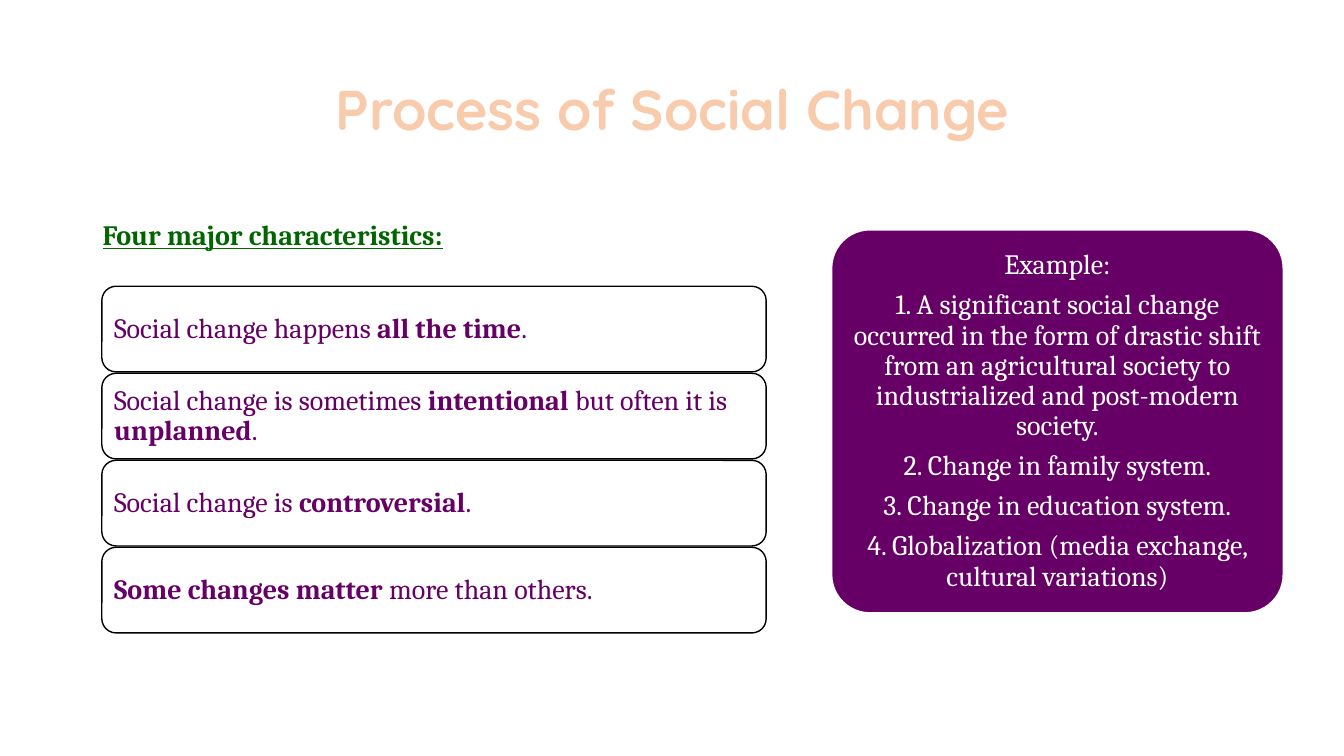
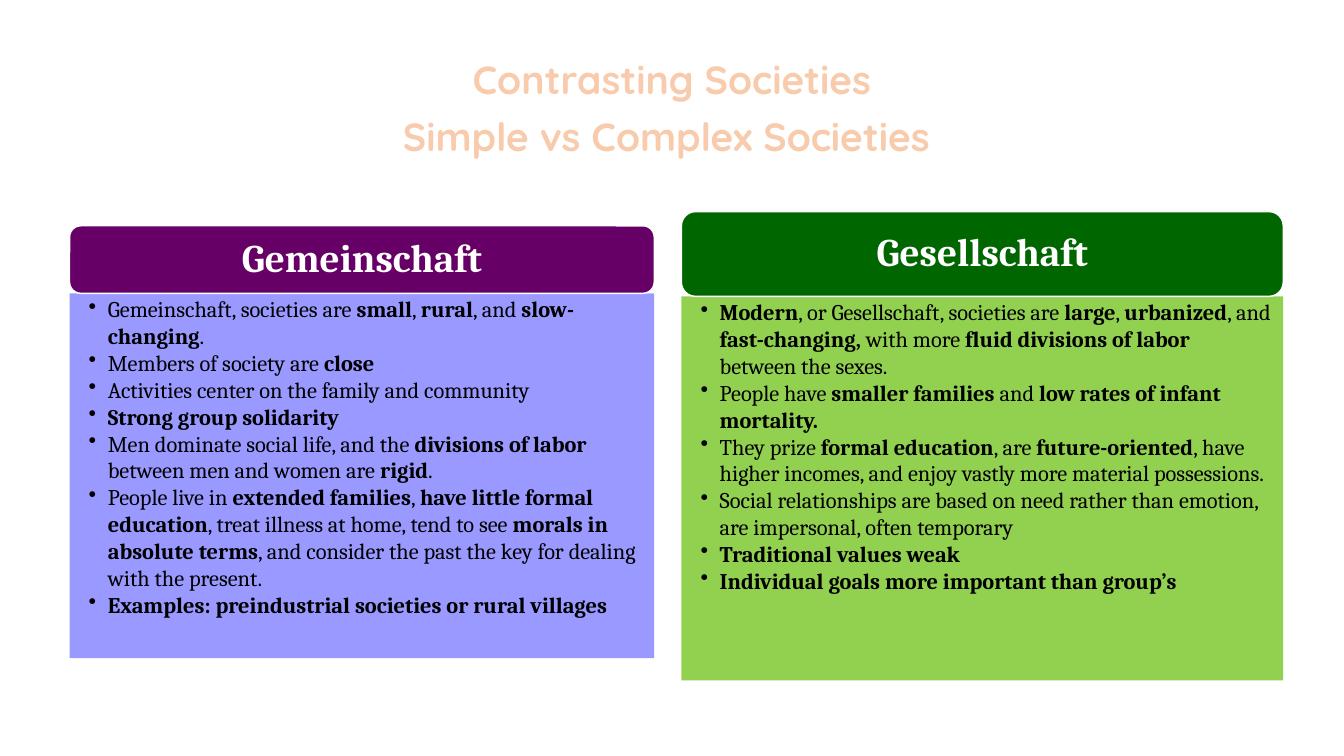
from lxml import etree
from pptx import Presentation
from pptx.dml.color import RGBColor
from pptx.enum.shapes import MSO_SHAPE
from pptx.enum.text import MSO_ANCHOR, PP_ALIGN
from pptx.oxml.ns import qn
from pptx.util import Inches, Pt

ROUNDED, RECTANGLE = MSO_SHAPE.ROUNDED_RECTANGLE, MSO_SHAPE.RECTANGLE
LEFT, CENTER = PP_ALIGN.LEFT, PP_ALIGN.CENTER
TOP, MIDDLE = MSO_ANCHOR.TOP, MSO_ANCHOR.MIDDLE

COLORS = {
    "white": "FFFFFF", "black": "000000", "peach": "F8CBAD", "orange": "ED7D31",
    "purple": "660066", "green": "006600", "lavender": "9999FF", "lime": "92D050",
}
TITLE_STYLE = dict(color="peach", font="Quicksand", bold=True, align=CENTER,
                   spacing=0.9, outline="orange")
CARD_TITLE_STYLE = dict(size=28, color="white", bold=True, align=CENTER,
                        spacing=0.9, insets=(0.12,) * 4)

deck = Presentation()
deck.slide_width, deck.slide_height = Inches(13.333), Inches(7.5)
blank_layout = deck.slide_layouts[6]


def add_box(page, area, preset=None, fill=None, line=None):
    """Add a shape, or a text box without preset; area is in percent of the slide."""
    left, top, width, height = area
    place = [int(deck.slide_width * left / 100), int(deck.slide_height * top / 100),
             int(deck.slide_width * width / 100), int(deck.slide_height * height / 100)]
    if preset is None:
        return page.shapes.add_textbox(*place)
    box = page.shapes.add_shape(preset, *place)
    box.shadow.inherit = False
    box.fill.solid()
    box.fill.fore_color.rgb = RGBColor.from_string(COLORS[fill])
    if line:
        box.line.color.rgb = RGBColor.from_string(COLORS[line])
        box.line.width = Pt(1)
    else:
        box.line.fill.background()
    return box


def write(box, lines, size, color, font="Cambria", bold=False, underline=None, align=LEFT,
          anchor=MIDDLE, spacing=1.0, insets=(0.1, 0.05, 0.1, 0.05), bullets=False,
          outline=None):
    """Fill a box with paragraphs; words between ** marks are bold."""
    frame = box.text_frame
    frame.word_wrap = True
    frame.vertical_anchor = anchor
    (frame.margin_left, frame.margin_top,
     frame.margin_right, frame.margin_bottom) = map(Inches, insets)
    for number, line in enumerate(lines):
        para = frame.add_paragraph() if number else frame.paragraphs[0]
        para.alignment = align
        para.line_spacing = spacing
        para.space_after = Pt(0 if bullets else round(size * 0.35))
        if bullets:
            properties = para._p.get_or_add_pPr()
            properties.set("marL", str(Inches(0.19)))
            properties.set("indent", str(-Inches(0.19)))
            etree.SubElement(properties, qn("a:buChar")).set("char", "•")
        for part, words in enumerate(line.split("**")):
            if not words:
                continue
            span = para.add_run()
            span.text = words
            span.font.name = font
            span.font.size = Pt(size)
            span.font.bold = bold or part % 2 == 1
            span.font.underline = underline
            span.font.color.rgb = RGBColor.from_string(COLORS[color])
            if outline:
                stroke = etree.Element(qn("a:ln"), w=str(Pt(1.75)))
                fill = etree.SubElement(stroke, qn("a:solidFill"))
                etree.SubElement(fill, qn("a:srgbClr")).set("val", COLORS[outline])
                span.font._element.insert(0, stroke)


# Slide 1: process of social change
page = deck.slides.add_slide(blank_layout)
title = add_box(page, (6.9, 5.2, 86.25, 19.33))
write(title, ["Process of Social Change"], size=40, **TITLE_STYLE)

heading = add_box(page, (6.9, 28.13, 39.83, 5.87))
write(heading, ["Four major characteristics:"], size=20, color="green", bold=True,
      underline=True, anchor=TOP)

characteristics = [
    "Social change happens **all the time**.",
    "Social change is sometimes **intentional** but often it is **unplanned**.",
    "Social change is **controversial**.",
    "**Some changes matter **more than others.",
]
FIRST_ROW, ROW_PITCH = 37.87, 11.51
for row, characteristic in enumerate(characteristics):
    box = add_box(page, (7.58, FIRST_ROW + row * ROW_PITCH, 49.43, 11.33),
                  ROUNDED, "white", "black")
    write(box, [characteristic], size=20, color="purple", spacing=0.9, insets=(0.08,) * 4)

example = add_box(page, (61.88, 30.4, 33.6, 50.67), ROUNDED, "purple", "white")
example.adjustments[0] = 0.1
write(example, [
    "Example:",
    "1. A significant social change occurred in the form of drastic shift from an "
    "agricultural society to industrialized and post-modern society.",
    "2. Change in family system.",
    "3. Change in education system.",
    "4. Globalization (media exchange, cultural variations)",
], size=20, color="white", align=CENTER, spacing=0.9, insets=(0.08,) * 4)

# Slide 2: two kinds of society side by side
page = deck.slides.add_slide(blank_layout)
title = add_box(page, (16.65, 8, 66.68, 13.2))
write(title, ["Contrasting Societies", "Simple vs Complex Societies "], size=28, **TITLE_STYLE)

# name, header colour, body colour, left, width, top, header height, body height, points
societies = [
    ("Gemeinschaft", "purple", "lavender", 5.18, 43.5, 29.87, 8.93, 48.27, [
        "Gemeinschaft, societies are **small**, **rural**, and **slow-changing**.",
        "Members of society are **close**",
        "Activities center on the family and community",
        "**Strong group solidarity**",
        "Men dominate social life, and the **divisions of labor **between men and women "
        "are **rigid**.",
        "People live in **extended families**, **have little formal education**, treat "
        "illness at home, tend to see **morals in absolute terms**, and consider the past "
        "the key for dealing with the present.",
        "**Examples: preindustrial societies or rural villages**",
    ]),
    ("Gesellschaft", "green", "lime", 50.7, 44.78, 28, 11.2, 50.8, [
        "**Modern**, or Gesellschaft, societies are **large**, **urbanized**, and "
        "**fast-changing,** with more **fluid divisions of labor **between the sexes.",
        "People have **smaller families **and **low rates of infant mortality.**",
        "They prize **formal education**, are **future-oriented**, have higher incomes, "
        "and enjoy vastly more material possessions.",
        "Social relationships are based on need rather than emotion, are impersonal, "
        "often temporary",
        "**Traditional values weak**",
        "**Individual goals more important than group’s**",
    ]),
]
for name, dark, light, left, width, top, header_height, body_height, points in societies:
    body = add_box(page, (left, top + header_height, width, body_height), RECTANGLE, light)
    write(body, points, size=16, color="black", anchor=TOP, bullets=True,
          insets=(0.19, 0.02, 0.12, 0.02))
    header = add_box(page, (left, top, width, header_height), ROUNDED, dark, "white")
    write(header, [name], **CARD_TITLE_STYLE)

deck.save("out.pptx")
